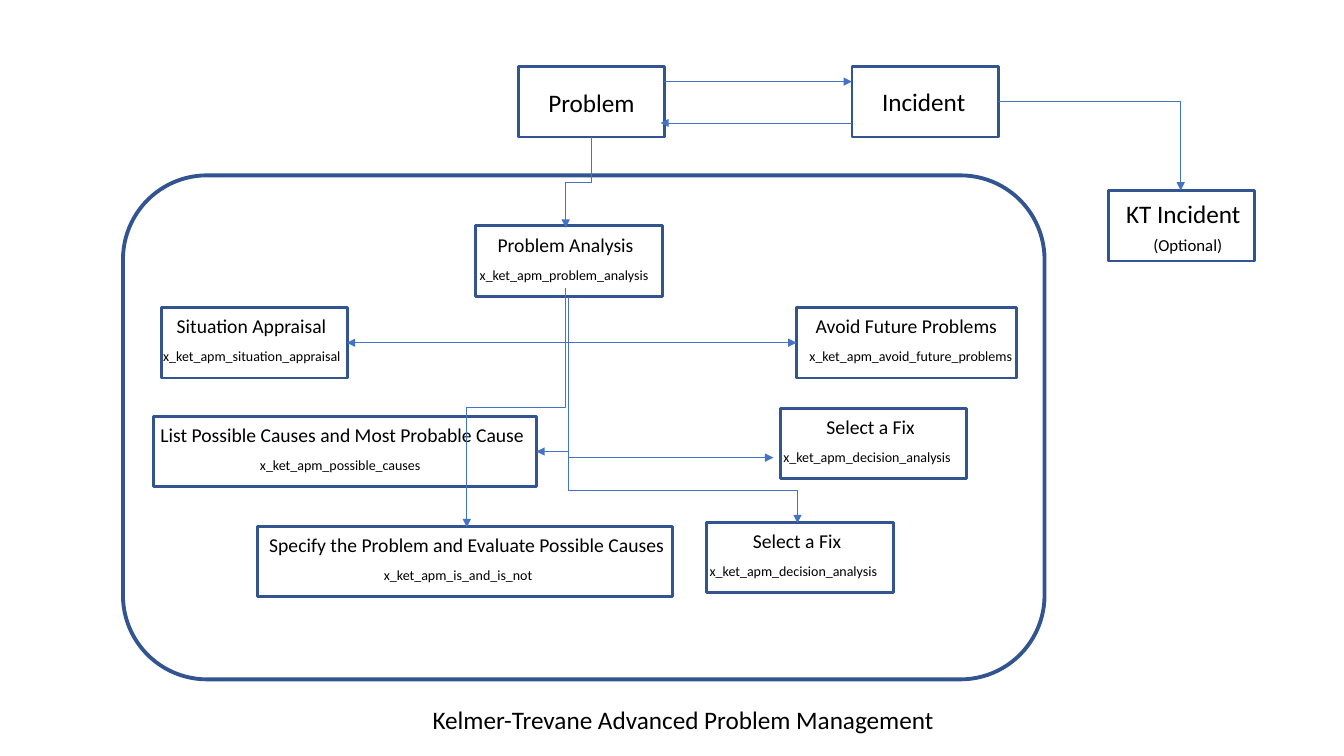
from lxml.etree import SubElement
from pptx import Presentation
from pptx.dml.color import RGBColor
from pptx.enum.shapes import MSO_CONNECTOR, MSO_SHAPE
from pptx.enum.text import MSO_ANCHOR, MSO_AUTO_SIZE, PP_ALIGN
from pptx.oxml.ns import qn
from pptx.util import Inches, Pt

COLORS = {"outline": "325491", "arrow": "4472C4", "text": "000000"}
FONT = "Calibri"

deck = Presentation()
deck.slide_width, deck.slide_height = Inches(13.33), Inches(7.5)
page = deck.slides.add_slide(deck.slide_layouts[5])

# Grid with one-inch columns and rows
COLUMN, ROW = deck.slide_width / 13.33, deck.slide_height / 7.5
BOX_HEIGHT = 0.7


def cells(left, top, width, height):
    return [round(n * unit) for n, unit in
            zip((left, top, width, height), (COLUMN, ROW, COLUMN, ROW))]


def write(shape, text, size, align, wrap=False):
    frame = shape.text_frame
    frame.word_wrap = wrap
    frame.auto_size = MSO_AUTO_SIZE.SHAPE_TO_FIT_TEXT
    frame.vertical_anchor = MSO_ANCHOR.TOP
    para = frame.paragraphs[0]
    para.alignment = align
    span = para.add_run()
    span.text = text
    span.font.name, span.font.size = FONT, Pt(size)
    span.font.color.rgb = RGBColor.from_string(COLORS["text"])


# Title below the diagram
title = page.shapes.title
title.left, title.top, title.width, title.height = cells(4.19, 6.94, 5.6, 0.4)
write(title, "Kelmer-Trevane Advanced Problem Management", 18, PP_ALIGN.LEFT, True)

# Frame and boxes: left, top, width, height, preset, line width
outlines = [(1.22, 1.74, 9.14, 5, MSO_SHAPE.ROUNDED_RECTANGLE, 2.75)]

# Records: left, top, width, then text and left and width of each label
records = [
    (4.72, 2.24, 1.85, "Problem Analysis", 4.83, 1.56,
     "x_ket_apm_problem_analysis", 4.66, 1.9),
    (1.6, 3.05, 1.85, "Situation Appraisal", 1.64, 1.71,
     "x_ket_apm_situation_appraisal", 1.52, 1.99),
    (1.52, 4.13, 3.8, "List Possible Causes and Most Probable Cause", 1.47, 3.85,
     "x_ket_apm_possible_causes", 2.48, 1.82),
    (2.55, 5.22, 4.12, "Specify the Problem and Evaluate Possible Causes", 2.55, 4.16,
     "x_ket_apm_is_and_is_not", 3.71, 1.7),
    (7.01, 5.18, 1.85, "Select a Fix", 7.36, 1.09,
     "x_ket_apm_decision_analysis", 6.94, 1.89),
    (7.74, 4.05, 1.85, "Select a Fix", 8.09, 1.09,
     "x_ket_apm_decision_analysis", 7.67, 1.89),
    (7.9, 3.05, 2.18, "Avoid Future Problems", 7.98, 2.02,
     "x_ket_apm_avoid_future_problems", 7.93, 2.25),
]
# Labels: text, size, alignment, left, top, width, height
labels = [("(Optional)", 12, PP_ALIGN.LEFT, 11.34, 2.28, 0.89, 0.3)]
for left, top, width, name, name_left, name_width, table, table_left, table_width in records:
    outlines.append((left, top, width, BOX_HEIGHT, MSO_SHAPE.RECTANGLE, 2))
    labels.append((name, 14, PP_ALIGN.CENTER, name_left, top + 0.02, name_width, 0.34))
    labels.append((table, 10, PP_ALIGN.LEFT, table_left, top + 0.35, table_width, 0.27))

# Tickets outside the frame: left, top, text, label left, top and width
tickets = [
    (5.14, 0.66, "Problem", 5.34, 0.82, 1.07),
    (8.45, 0.66, "Incident", 8.65, 0.81, 1.04),
    (10.99, 1.89, "KT Incident", 11.07, 1.92, 1.35),
]
for left, top, name, name_left, name_top, name_width in tickets:
    outlines.append((left, top, 1.45, BOX_HEIGHT, MSO_SHAPE.RECTANGLE, 2))
    labels.append((name, 18, PP_ALIGN.LEFT, name_left, name_top, name_width, 0.4))

for left, top, width, height, preset, weight in outlines:
    box = page.shapes.add_shape(preset, *cells(left, top, width, height))
    box.shadow.inherit = False
    box.fill.background()
    box.line.color.rgb = RGBColor.from_string(COLORS["outline"])
    box.line.width = Pt(weight)

for text, size, align, *place in labels:
    write(page.shapes.add_textbox(*cells(*place)), text, size, align)

# Arrows: start, end, preset, share of the way to the bend, leaves downwards
trunk = (5.64, 2.95)
arrows = [
    ((5.87, 1.36), (5.61, 2.26), "bentConnector3", 0.5, True),
    (trunk, (3.44, 3.4), "bentConnector2", None, True),
    (trunk, (5.32, 4.48), "bentConnector2", None, True),
    ((5.61, 2.86), (4.63, 5.23), "bentConnector3", 0.5, True),
    (trunk, (7.91, 5.19), "bentConnector3", 0.855, True),
    (trunk, (7.67, 4.54), "bentConnector2", None, True),
    (trunk, (7.9, 3.4), "bentConnector2", None, True),
    ((6.59, 0.81), (8.45, 0.81), "line", None, False),
    ((8.45, 1.22), (6.55, 1.22), "line", None, False),
    ((9.9, 1.01), (11.71, 1.89), "bentConnector2", None, False),
]
for start, end, preset, bend, downwards in arrows:
    kind = MSO_CONNECTOR.STRAIGHT if preset == "line" else MSO_CONNECTOR.ELBOW
    arrow = page.shapes.add_connector(kind, *cells(*start, *end))
    arrow.line.color.rgb = RGBColor.from_string(COLORS["arrow"])
    arrow.line.width = Pt(0.5)
    SubElement(arrow.line._get_or_add_ln(), qn("a:tailEnd"), type="triangle")
    properties = arrow._element.spPr
    SubElement(properties, qn("a:effectLst"))
    geometry = properties.find(qn("a:prstGeom"))
    geometry.set("prst", preset)
    if bend is not None:
        guides = geometry.find(qn("a:avLst"))
        SubElement(guides, qn("a:gd"), name="adj1", fmla=f"val {round(bend * 100000)}")
    if downwards:
        # Turn the connector a quarter about its centre
        across, down = end[0] - start[0], end[1] - start[1]
        middle_x, middle_y = start[0] + across / 2, start[1] + down / 2
        arrow.left, arrow.top, arrow.width, arrow.height = cells(
            middle_x - down / 2, middle_y - abs(across) / 2, down, abs(across))
        turn = properties.find(qn("a:xfrm"))
        turn.set("rot", str((270 if across > 0 else 90) * 60000))
        turn.set("flipH", "1" if across > 0 else "0")

deck.save("out.pptx")
